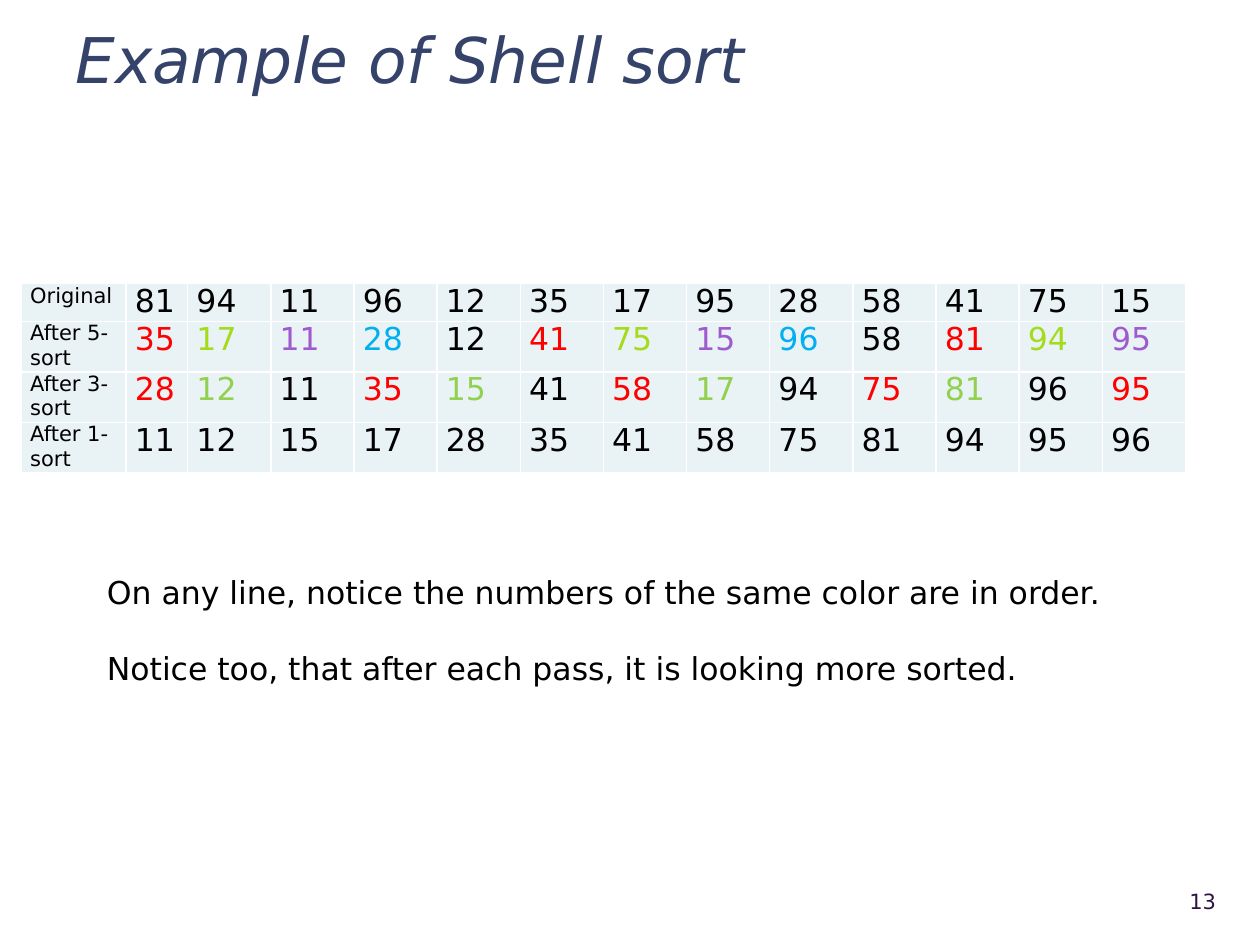
from itertools import cycle

from lxml import etree
from pptx import Presentation
from pptx import util as u
from pptx.dml.color import RGBColor
from pptx.enum import text
from pptx.oxml.ns import qn

BLACK, RED, LIME, GREEN = "000000", "FF0000", "A4DB1B", "92D050"
PURPLE, BLUE, WHITE = "9F5AD0", "00B0F0", "FFFFFF"

PASSES = [
    ("Original", [81, 94, 11, 96, 12, 35, 17, 95, 28, 58, 41, 75, 15], [BLACK]),
    ("After 5-sort", [35, 17, 11, 28, 12, 41, 75, 15, 96, 58, 81, 94, 95],
     [RED, LIME, PURPLE, BLUE, BLACK]),
    ("After 3-sort", [28, 12, 11, 35, 15, 41, 58, 17, 94, 75, 81, 96, 95],
     [RED, GREEN, BLACK]),
    ("After 1-sort", [11, 12, 15, 17, 28, 35, 41, 58, 75, 81, 94, 95, 96], [BLACK]),
]


def color(value):
    return RGBColor.from_string(value)


class SlideBuilder:
    """Draws styled text and tables on one slide."""

    font = "DejaVu Sans"
    cell_fill = "E9F2F5"

    def __init__(self, slide):
        self.slide = slide

    def run(self, paragraph, words, size, ink, italic=False):
        run = paragraph.add_run()
        run.text = words
        run.font.name = self.font
        run.font.size = u.Pt(size)
        run.font.italic = italic
        run.font.color.rgb = color(ink)

    def textbox(self, box, lines, size, ink, italic=False, gap=0, spacing=1.0,
                anchor=text.MSO_ANCHOR.TOP, align=text.PP_ALIGN.LEFT):
        frame = self.slide.shapes.add_textbox(*map(u.Inches, box)).text_frame
        frame.word_wrap = True
        frame.vertical_anchor = anchor
        for index, line in enumerate(lines):
            paragraph = frame.add_paragraph() if index else frame.paragraphs[0]
            paragraph.alignment = align
            paragraph.line_spacing = spacing
            paragraph.space_before = u.Pt(gap if index else 0)
            self.run(paragraph, line, size, ink, italic)

    def cell(self, cell, words, size, ink):
        cell.margin_left = cell.margin_right = u.Inches(0.07)
        cell.margin_top = cell.margin_bottom = 0
        self.run(cell.text_frame.paragraphs[0], words, size, ink)
        properties = cell._tc.get_or_add_tcPr()
        for side in ("a:lnL", "a:lnR", "a:lnT", "a:lnB"):
            border = etree.SubElement(properties, qn(side), w=str(u.Pt(1)))
            fill = etree.SubElement(border, qn("a:solidFill"))
            etree.SubElement(fill, qn("a:srgbClr"), val=WHITE)
        cell.fill.solid()
        cell.fill.fore_color.rgb = color(self.cell_fill)

    def table(self, box, passes, widths, heights):
        table = self.slide.shapes.add_table(
            len(heights), len(widths), *map(u.Inches, box)).table
        table.first_row = table.horz_banding = False
        for column, width in zip(table.columns, widths):
            column.width = u.Inches(width)
        for row, height, (label, numbers, inks) in zip(table.rows, heights, passes):
            row.height = u.Inches(height)
            label_cell, *number_cells = row.cells
            self.cell(label_cell, label, 12, BLACK)
            for number_cell, number, ink in zip(number_cells, numbers, cycle(inks)):
                self.cell(number_cell, str(number), 18, ink)


def main():
    deck = Presentation()
    deck.slide_width, deck.slide_height = u.Inches(10), u.Inches(7.5)
    builder = SlideBuilder(deck.slides.add_slide(deck.slide_layouts[6]))
    middle = text.MSO_ANCHOR.MIDDLE

    builder.textbox((0.5, 0.17, 9.25, 0.53), ["Example of Shell sort"], 36, "35436A",
                    italic=True, spacing=1.1, anchor=middle)
    builder.table((0.17, 2.25, 9.24, 1.46), PASSES,
                  [0.83, 0.49] + [0.66] * 12, [0.29] + [0.39] * 3)
    builder.textbox((8.89, 6.95, 0.86, 0.4), ["13"], 12, "2F1343",
                    anchor=middle, align=text.PP_ALIGN.RIGHT)
    builder.textbox((0.75, 4.5, 8.23, 1.01),
                    ["On any line, notice the numbers of the same color are in order.",
                     "Notice too, that after each pass, it is looking more sorted."],
                    18, BLACK, gap=21.5)
    deck.save("out.pptx")


if __name__ == "__main__":
    main()
